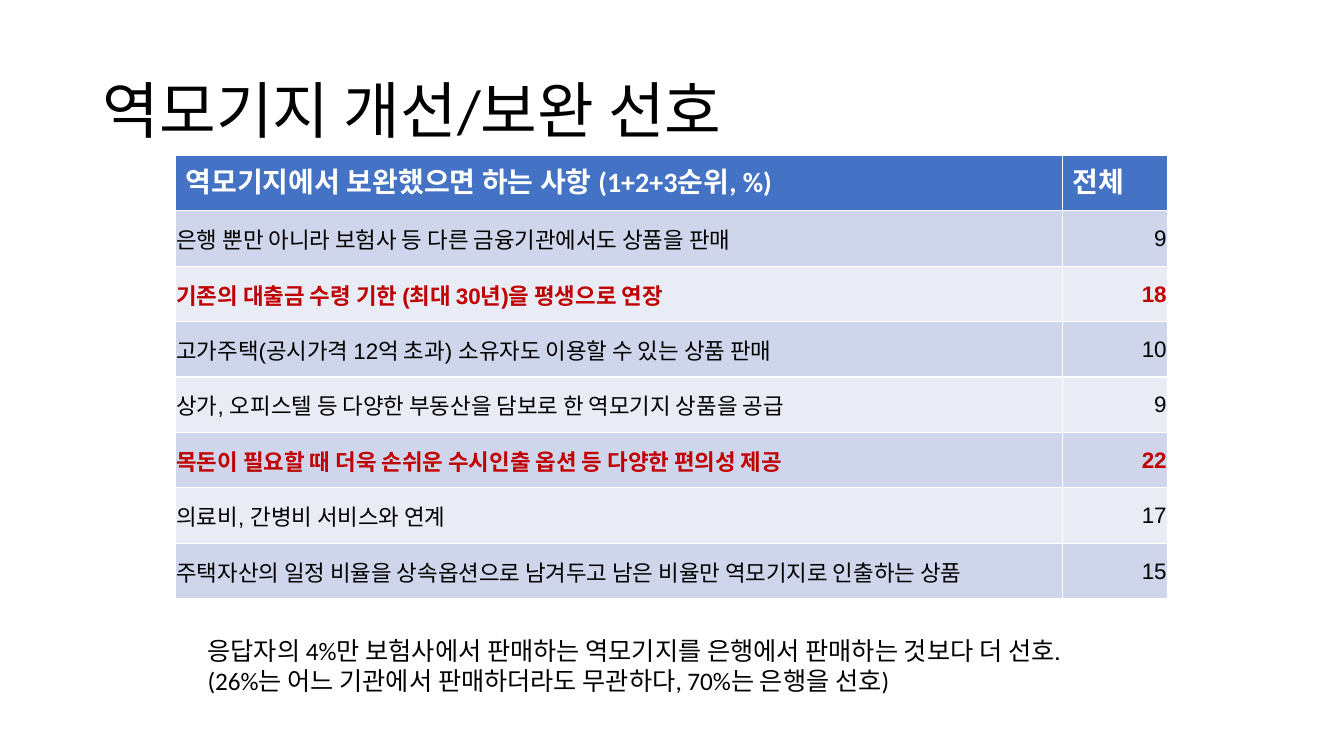
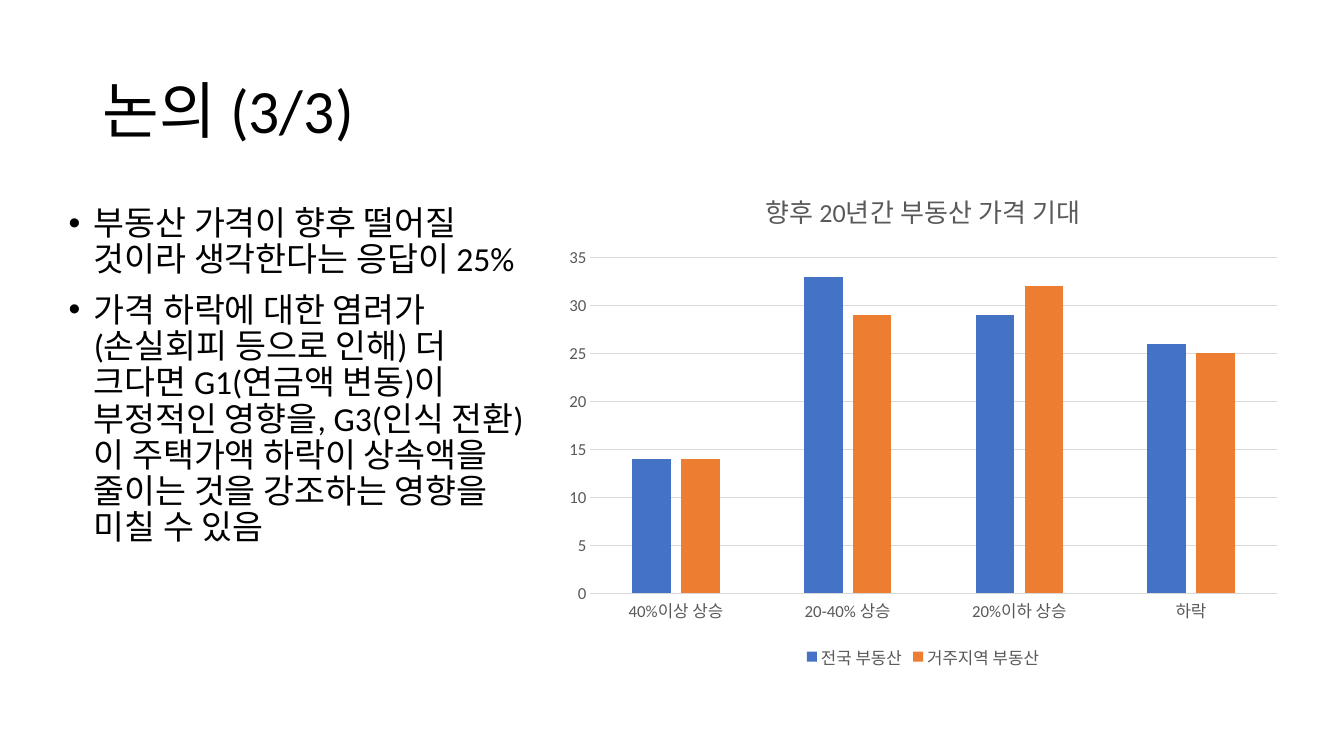
from pptx import Presentation
from pptx.chart.data import CategoryChartData
from pptx.dml.color import RGBColor
from pptx.enum import chart as charts, text
from pptx.util import Inches, Pt

BLACK, WHITE, GRAY, LINE = "000000", "FFFFFF", "595959", "D9D9D9"
BLUE, ORANGE, RED = "4472C4", "ED7D31", "C00000"
BANDS = "CFD5EA", "E9EBF5"
FONT, TABLE_FONT = "Calibri", "Arial"
TITLE_ONLY, TITLE_AND_BODY = 5, 1

TABLE_TITLE = "역모기지 개선/보완 선호"
HEADER = "역모기지에서 보완했으면 하는 사항 (1+2+3순위, %)", "전체"
PREFERENCES = [  # wording, percent, emphasized
    ("은행 뿐만 아니라 보험사 등 다른 금융기관에서도 상품을 판매", 9, False),
    ("기존의 대출금 수령 기한 (최대 30년)을 평생으로 연장", 18, True),
    ("고가주택(공시가격 12억 초과) 소유자도 이용할 수 있는 상품 판매", 10, False),
    ("상가, 오피스텔 등 다양한 부동산을 담보로 한 역모기지 상품을 공급", 9, False),
    ("목돈이 필요할 때 더욱 손쉬운 수시인출 옵션 등 다양한 편의성 제공", 22, True),
    ("의료비, 간병비 서비스와 연계", 17, False),
    ("주택자산의 일정 비율을 상속옵션으로 남겨두고 남은 비율만 역모기지로 인출하는 상품", 15, False),
]
NOTE = [
    "응답자의 4%만 보험사에서 판매하는 역모기지를 은행에서 판매하는 것보다 더 선호.",
    "(26%는 어느 기관에서 판매하더라도 무관하다, 70%는 은행을 선호)",
]
DISCUSSION_TITLE = "논의 (3/3)"
POINTS = [
    "부동산 가격이 향후 떨어질 것이라 생각한다는 응답이 25%",
    "가격 하락에 대한 염려가 (손실회피 등으로 인해) 더 크다면 G1(연금액 변동)이 부정적인 영향을, "
    "G3(인식 전환)이 주택가액 하락이 상속액을 줄이는 것을 강조하는 영향을 미칠 수 있음",
]
CHART_TITLE = "향후 20년간 부동산 가격 기대"
CATEGORIES = ["40%이상 상승", "20-40% 상승", "20%이하 상승", "하락"]
SERIES = [
    ("전국 부동산", [14, 33, 29, 26], BLUE),
    ("거주지역 부동산", [14, 29, 32, 25], ORANGE),
]


def color(value):
    return RGBColor.from_string(value)


def box(left, top, width, height):
    return Inches(left), Inches(top), Inches(width), Inches(height)


def place(shape, *bounds):
    shape.left, shape.top, shape.width, shape.height = box(*bounds)


def style_font(font, size, fill=BLACK, name=FONT, bold=False):
    font.size, font.name, font.bold = Pt(size), name, bold
    font.color.rgb = color(fill)


def style_text(frame, *font_settings):
    for paragraph in frame.paragraphs:
        for run in paragraph.runs:
            style_font(run.font, *font_settings)


def add_titled_slide(presentation, layout, title_text):
    slide = presentation.slides.add_slide(presentation.slide_layouts[layout])
    title = slide.shapes.title
    place(title, 0.92, 0.4, 11.5, 1.45)
    frame = title.text_frame
    frame.text = title_text
    frame.auto_size = text.MSO_AUTO_SIZE.NONE
    frame.vertical_anchor = text.MSO_ANCHOR.MIDDLE
    frame.paragraphs[0].alignment = text.PP_ALIGN.LEFT
    frame.paragraphs[0].line_spacing = 0.9
    style_text(frame, 44)
    return slide


def fill_cell(cell, wording, fill, *font_settings):
    cell.text = wording
    cell.fill.solid()
    cell.fill.fore_color.rgb = color(fill)
    style_text(cell.text_frame, *font_settings)


def add_preference_table(slide):
    row_count = len(PREFERENCES) + 1
    table = slide.shapes.add_table(row_count, 2, *box(1.74, 1.54, 9.84, 0.55 * row_count)).table
    for column, width in zip(table.columns, (8.8, 1.04)):
        column.width = Inches(width)
    for row in table.rows:
        row.height = Inches(0.55)
    for column, wording in enumerate(HEADER):
        fill_cell(table.cell(0, column), wording, BLUE, 20, WHITE, FONT, True)
    for row, (wording, percent, emphasized) in enumerate(PREFERENCES, 1):
        for column, value in enumerate((wording, str(percent))):
            cell = table.cell(row, column)
            fill_cell(cell, value, BANDS[(row - 1) % 2], 16,
                      RED if emphasized else BLACK, TABLE_FONT, emphasized)
            cell.vertical_anchor = text.MSO_ANCHOR.MIDDLE
            cell.margin_left = cell.margin_right = cell.margin_top = Inches(0.01)
            cell.margin_bottom = 0
        cell.text_frame.paragraphs[0].alignment = text.PP_ALIGN.RIGHT


def add_note(slide):
    frame = slide.shapes.add_textbox(*box(1.96, 6.25, 9.42, 0.71)).text_frame
    frame.word_wrap = True
    frame.text = "\n".join(NOTE)
    style_text(frame, 18)


def fill_points(body):
    place(body, 0.58, 2, 4.92, 4.76)
    frame = body.text_frame
    frame.text = "\n".join(POINTS)
    frame.auto_size = text.MSO_AUTO_SIZE.NONE
    for paragraph in frame.paragraphs:
        paragraph.line_spacing = 0.9
        paragraph.space_before = Pt(10)
        properties = paragraph._p.get_or_add_pPr()
        properties.set("marL", str(Inches(0.25)))
        properties.set("indent", str(Inches(-0.25)))
    style_text(frame, 24)


def add_price_chart(slide):
    data = CategoryChartData()
    data.categories = CATEGORIES
    for name, values, _ in SERIES:
        data.add_series(name, values)
    chart = slide.shapes.add_chart(
        charts.XL_CHART_TYPE.COLUMN_CLUSTERED, *box(5.5, 1.67, 7.31, 5.01), data).chart
    style_font(chart.font, 12, GRAY)
    chart.has_title = True
    chart.chart_title.text_frame.text = CHART_TITLE
    chart.chart_title.include_in_layout = False
    style_text(chart.chart_title.text_frame, 18.6, GRAY)
    chart.has_legend = True
    chart.legend.position = charts.XL_LEGEND_POSITION.BOTTOM
    chart.legend.include_in_layout = False
    style_font(chart.legend.font, 12, GRAY)

    plot = chart.plots[0]
    plot.gap_width, plot.overlap, plot.vary_by_categories = 219, -27, False
    for series, (_, _, fill) in zip(plot.series, SERIES):
        series.format.fill.solid()
        series.format.fill.fore_color.rgb = color(fill)

    category_axis, value_axis = chart.category_axis, chart.value_axis
    for axis in (category_axis, value_axis):
        axis.major_tick_mark = axis.minor_tick_mark = charts.XL_TICK_MARK.NONE
        style_font(axis.tick_labels.font, 12, GRAY)
    value_axis.minimum_scale, value_axis.maximum_scale, value_axis.major_unit = 0, 35, 5
    value_axis.format.line.fill.background()
    for line in (category_axis.format.line, value_axis.major_gridlines.format.line):
        line.color.rgb = color(LINE)
        line.width = Pt(0.75)


def main():
    presentation = Presentation()
    presentation.slide_width, presentation.slide_height = Inches(13.33), Inches(7.5)

    slide = add_titled_slide(presentation, TITLE_ONLY, TABLE_TITLE)
    add_preference_table(slide)
    add_note(slide)

    slide = add_titled_slide(presentation, TITLE_AND_BODY, DISCUSSION_TITLE)
    fill_points(slide.placeholders[1])
    add_price_chart(slide)

    presentation.save("out.pptx")


if __name__ == "__main__":
    main()
